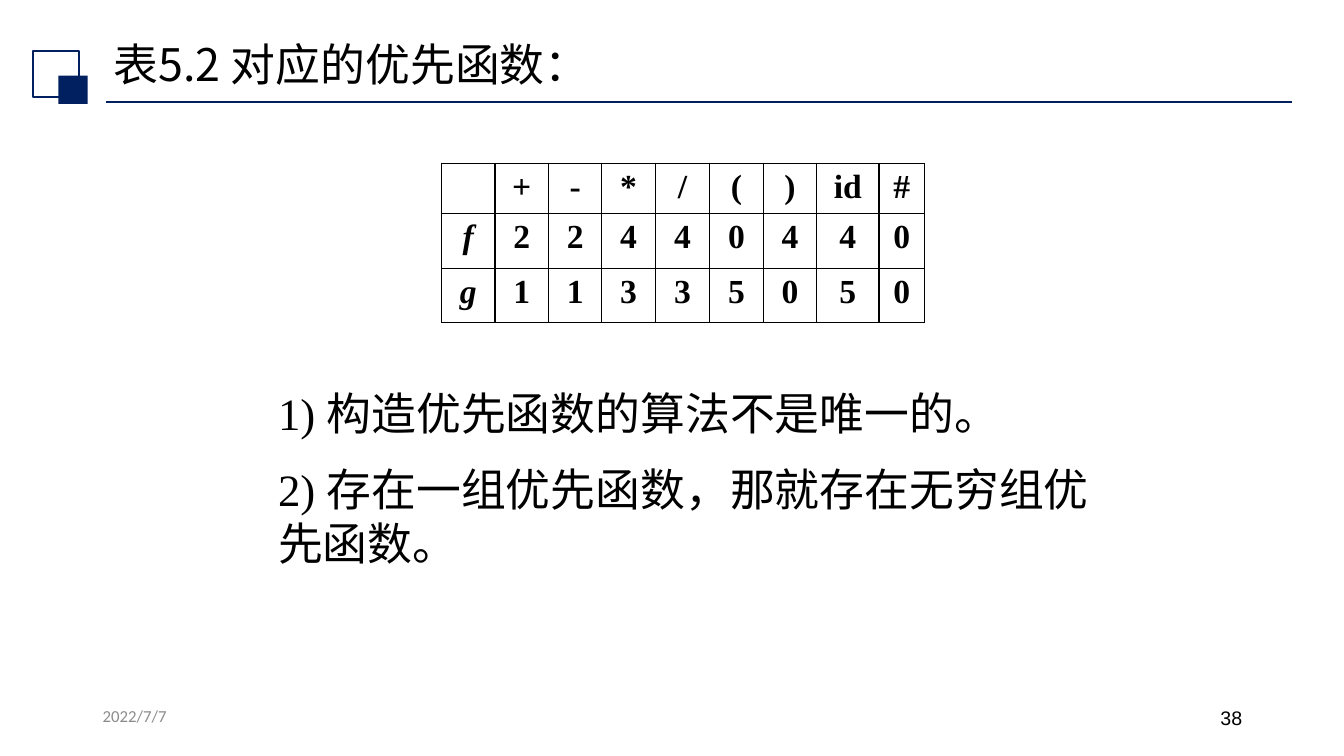
from lxml.etree import SubElement
from pptx import Presentation
from pptx.dml.color import RGBColor
from pptx.enum.shapes import MSO_CONNECTOR, MSO_SHAPE
from pptx.enum.text import MSO_ANCHOR, PP_ALIGN
from pptx.oxml.ns import qn
from pptx.util import Inches, Pt

COLORS = {"navy": "002060", "black": "000000", "gray": "8C8C8C"}
CHINESE_FONT = "Noto Sans CJK SC"
SERIF = "Times New Roman"

COLUMN_WIDTHS = [0.53] * 4 + [0.54] + [0.53] * 2 + [0.62, 0.45]
ROW_HEIGHTS = [0.5, 0.54, 0.54]
PRECEDENCE = [
    ["", "+", "-", "*", "/", "(", ")", "id", "#"],
    ["f", "2", "2", "4", "4", "0", "4", "4", "0"],
    ["g", "1", "1", "3", "3", "5", "0", "5", "0"],
]
REMARKS = [
    "1) 构造优先函数的算法不是唯一的。",
    "2) 存在一组优先函数，那就存在无穷组优先函数。",
]


def color(name):
    return RGBColor.from_string(COLORS[name])


class SlideBuilder:
    def __init__(self, slide):
        self.shapes = slide.shapes

    def add_run(self, paragraph, text, size, font, tint="black", bold=False, italic=False):
        run = paragraph.add_run()
        run.text = text
        run.font.size = Pt(size)
        run.font.name = font
        run.font.bold = bold
        run.font.italic = italic
        run.font.color.rgb = color(tint)
        SubElement(run.font._element, qn("a:ea"), typeface=CHINESE_FONT)

    def line(self, start, end, width):
        connector = self.shapes.add_connector(
            MSO_CONNECTOR.STRAIGHT, *map(Inches, start + end))
        connector.line.color.rgb = color("navy")
        connector.line.width = Pt(width)
        SubElement(connector._element.spPr, qn("a:effectLst"))

    def square(self, left, top, width, height, filled):
        shape = self.shapes.add_shape(
            MSO_SHAPE.RECTANGLE, *map(Inches, (left, top, width, height)))
        shape.shadow.inherit = False
        if filled:
            shape.fill.solid()
            shape.fill.fore_color.rgb = color("navy")
            shape.line.fill.background()
        else:
            shape.fill.background()
            shape.line.color.rgb = color("navy")
            shape.line.width = Pt(1.5)

    def text(self, box, texts, size, font, tint="black", align=PP_ALIGN.LEFT,
             anchor=MSO_ANCHOR.TOP, line_spacing=None, gap=0):
        frame = self.shapes.add_textbox(*map(Inches, box)).text_frame
        frame.word_wrap = True
        frame.vertical_anchor = anchor
        for index, text in enumerate(texts):
            paragraph = frame.add_paragraph() if index else frame.paragraphs[0]
            paragraph.alignment = align
            paragraph.line_spacing = line_spacing
            if index:
                paragraph.space_before = Pt(gap)
            self.add_run(paragraph, text, size, font, tint)

    def border(self, cell):
        properties = cell._tc.get_or_add_tcPr()
        for position, side in enumerate(("a:lnL", "a:lnR", "a:lnT", "a:lnB")):
            edge = SubElement(properties, qn(side), w=str(Pt(1)))
            fill = SubElement(edge, qn("a:solidFill"))
            SubElement(fill, qn("a:srgbClr"), val=COLORS["black"])
            properties.remove(edge)
            properties.insert(position, edge)

    def table(self, left, top, widths, heights, rows):
        table = self.shapes.add_table(
            len(rows), len(widths), Inches(left), Inches(top),
            Inches(sum(widths)), Inches(sum(heights))).table
        table.first_row = table.horz_banding = False
        for column, width in zip(table.columns, widths):
            column.width = Inches(width)
        for row, height, values in zip(table.rows, heights, rows):
            row.height = Inches(height)
            for cell, value in zip(row.cells, values):
                cell.fill.background()
                self.border(cell)
                if value:
                    paragraph = cell.text_frame.paragraphs[0]
                    paragraph.alignment = PP_ALIGN.CENTER
                    self.add_run(paragraph, value, 24, SERIF, bold=True,
                                 italic=value in ("f", "g"))


def main():
    presentation = Presentation()
    presentation.slide_width = Inches(13.33)
    presentation.slide_height = Inches(7.5)
    builder = SlideBuilder(presentation.slides.add_slide(presentation.slide_layouts[6]))

    builder.line((1.05, 1.01), (12.81, 1.01), 1.25)
    builder.square(0.33, 0.51, 0.45, 0.45, filled=False)
    builder.square(0.58, 0.75, 0.29, 0.28, filled=True)
    builder.text((1.03, 0.34, 11.5, 0.61), ["表5.2 对应的优先函数："], 32, CHINESE_FONT,
                 anchor=MSO_ANCHOR.BOTTOM, line_spacing=0.9)
    builder.table(4.38, 1.62, COLUMN_WIDTHS, ROW_HEIGHTS, PRECEDENCE)
    builder.text((2.66, 3.77, 8.33, 1.98), REMARKS, 32, SERIF,
                 line_spacing=Pt(38.6), gap=16)
    builder.text((0.92, 6.95, 3, 0.4), ["2022/7/7"], 12, "Calibri", "gray")
    builder.text((9.42, 6.95, 3, 0.4), ["38"], 14, "Arial", align=PP_ALIGN.RIGHT)

    presentation.save("out.pptx")


if __name__ == "__main__":
    main()
